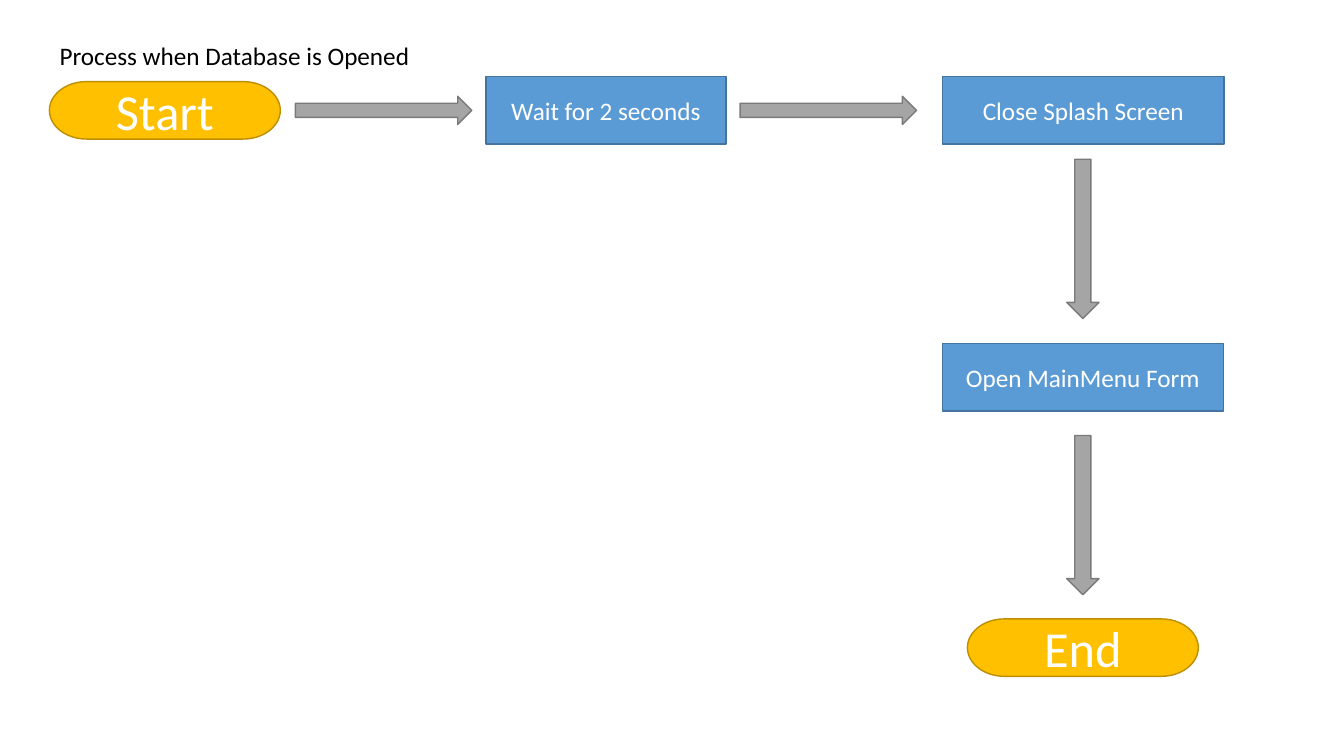
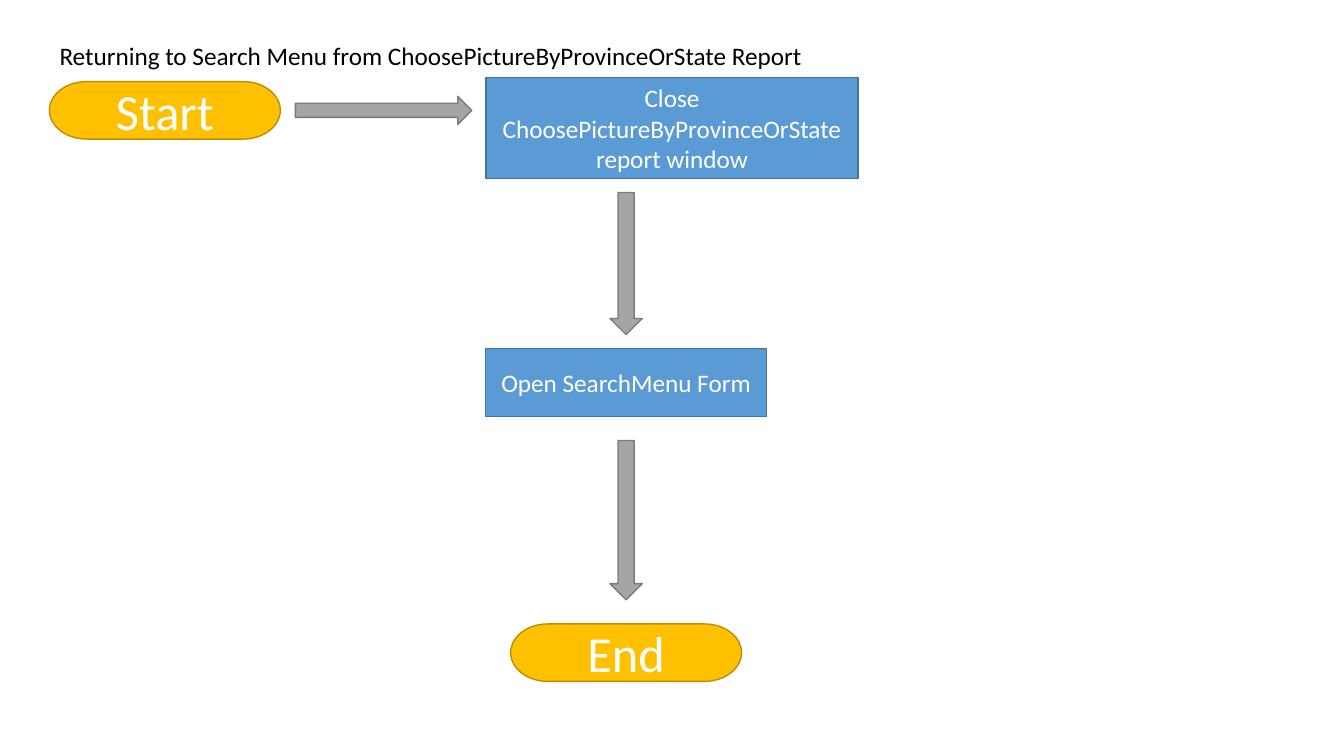
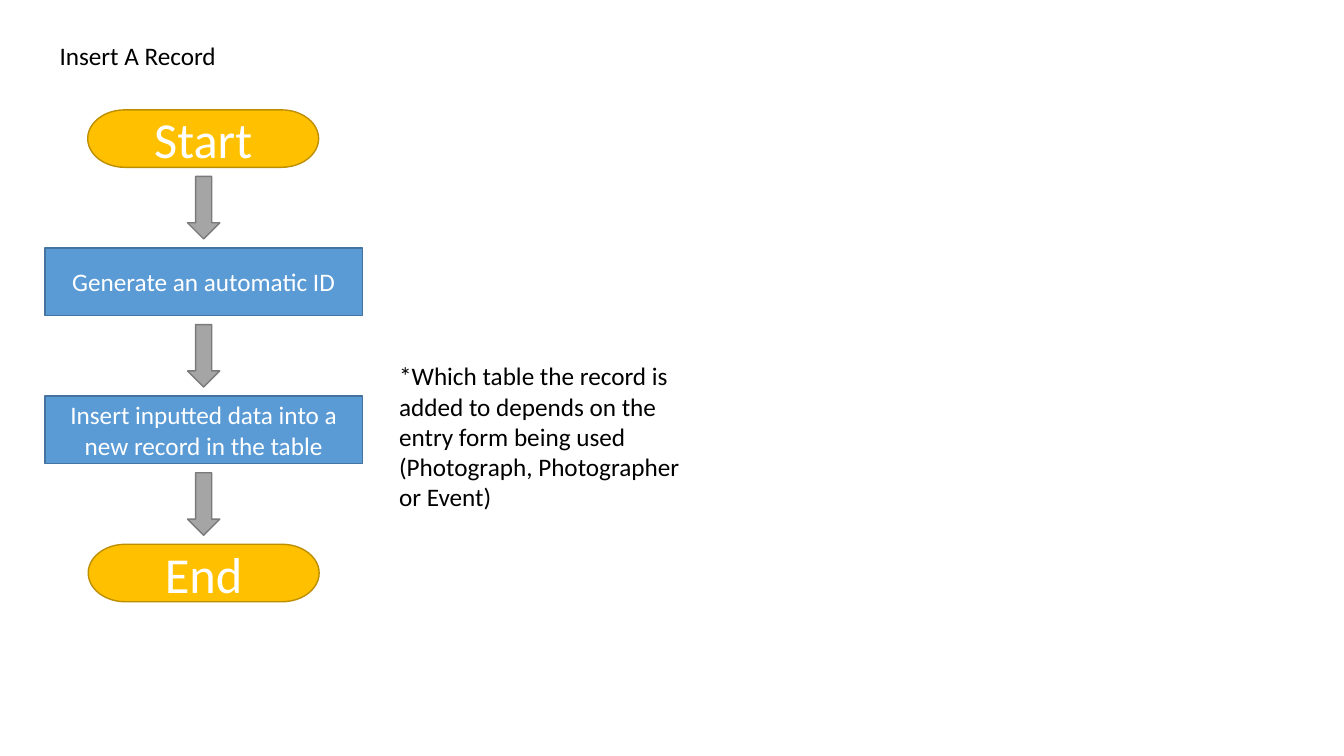
from pptx import Presentation
from pptx.dml.color import RGBColor
from pptx.enum.shapes import MSO_SHAPE as SHAPE
from pptx.enum.text import MSO_ANCHOR as ANCHOR, MSO_AUTO_SIZE as FIT, PP_ALIGN as ALIGN
from pptx.util import Inches, Pt

# Shared look
FONT = "Calibri"
COLORS = {
    "terminal": "FFC000", "terminal_line": "BD8E00",
    "process": "5B9BD5", "process_line": "43739E",
    "arrow": "A5A5A5", "arrow_line": "7A7A7A",
    "light": "FFFFFF", "dark": "000000",
}
KINDS = {"terminal": (SHAPE.FLOWCHART_TERMINATOR, 36), "process": (SHAPE.RECTANGLE, 18)}
TERMINAL_SIZE = (2.29, 0.57)
ARROW_RIGHT, ARROW_DOWN = 0.28, 0.32  # arrow thickness
TITLE_LEFT, TITLE_TOP, TITLE_HEIGHT = 0.49, 0.35, 0.4

# Links between steps: direction, arrow length, gap before, gap after
RIGHT = ("right", 1.75, 0.15, 0.14)
RIGHT_WIDE = ("right", 1.75, 0.14, 0.26)
DOWN_FIRST = ("down", 1.58, 0.15, 0.25)
DOWN_TIGHT = ("down", 1.41, 0.14, 0.14)
DOWN = ("down", 1.58, 0.24, 0.24)
DOWN_SHORT = ("down", 0.62, 0.09, 0.09)

# Content: each step is link into it, kind, text, size and, if off the row, its top
FLOWS = [
    {"title": "Process when Database is Opened", "title_width": 3.71,
     "start": (0.49, 0.81), "axis": 10.74,
     "steps": [
         (None, "terminal", "Start", TERMINAL_SIZE),
         (RIGHT, "process", "Wait for 2 seconds", (2.38, 0.67)),
         (RIGHT_WIDE, "process", "Close Splash Screen", (2.79, 0.67)),
         (DOWN_FIRST, "process", "Open MainMenu Form", (2.79, 0.67)),
         (DOWN, "terminal", "End", TERMINAL_SIZE)]},
    {"title": "Returning to Search Menu from ChoosePictureByProvinceOrState Report",
     "title_width": 7.65, "start": (0.49, 0.81), "axis": 6.21,
     "steps": [
         (None, "terminal", "Start", TERMINAL_SIZE),
         (RIGHT, "process", "Close ChoosePictureByProvinceOrState report window",
          (3.69, 1.0), 0.77),
         (DOWN_TIGHT, "process", "Open SearchMenu Form", (2.79, 0.67)),
         (DOWN, "terminal", "End", TERMINAL_SIZE)]},
    {"title": "Insert A Record", "title_width": 1.77,
     "start": (0.87, 1.09), "axis": 2.02,
     "steps": [
         (None, "terminal", "Start", TERMINAL_SIZE),
         (DOWN_SHORT, "process", "Generate an automatic ID", (3.15, 0.67)),
         (DOWN_SHORT, "process", "Insert inputted data into a new record in the table",
          (3.15, 0.67)),
         (DOWN_SHORT, "terminal", "End", TERMINAL_SIZE)],
     "note": ("*Which table the record is added to depends on the entry form being used "
              "(Photograph, Photographer or Event)", (3.86, 3.53, 3.13, 1.62))},
]


def rgb(name):
    return RGBColor.from_string(COLORS[name])


def put_text(sp, text, size=18, color="dark", align=ALIGN.LEFT, anchor=ANCHOR.TOP, wrap=True):
    tf = sp.text_frame
    tf.word_wrap, tf.auto_size, tf.vertical_anchor = wrap, FIT.NONE, anchor
    p = tf.paragraphs[0]
    p.alignment = align
    r = p.add_run()
    r.text = text
    r.font.name, r.font.size, r.font.color.rgb = FONT, Pt(size), rgb(color)


def add_box(s, shape, color, x, y, w, h):
    sp = s.shapes.add_shape(shape, Inches(x), Inches(y), Inches(w), Inches(h))
    sp.shadow.inherit = False
    sp.fill.solid()
    sp.fill.fore_color.rgb = rgb(color)
    sp.line.color.rgb = rgb(color + "_line")
    sp.line.width = Pt(1)
    return sp


def add_title(s, text, width):
    sp = s.shapes.title
    sp.left, sp.top = Inches(TITLE_LEFT), Inches(TITLE_TOP)
    sp.width, sp.height = Inches(width), Inches(TITLE_HEIGHT)
    put_text(sp, text, wrap=False)


def add_flow(s, start, axis, steps):
    """Place steps one after another, with an arrow along each link."""
    x, y = start
    row = y + TERMINAL_SIZE[1] / 2
    w = h = 0
    for link, kind, text, size, *top in steps:
        if link:
            direction, length, before, after = link
            if direction == "right":
                x += w + before
                add_box(s, SHAPE.RIGHT_ARROW, "arrow",
                        x, row - ARROW_RIGHT / 2, length, ARROW_RIGHT)
                x += length + after
                y = top[0] if top else row - size[1] / 2
            else:
                y += h + before
                add_box(s, SHAPE.DOWN_ARROW, "arrow",
                        axis - ARROW_DOWN / 2, y, ARROW_DOWN, length)
                y += length + after
                x = axis - size[0] / 2
        w, h = size
        shape, points = KINDS[kind]
        put_text(add_box(s, shape, kind, x, y, w, h), text, size=points,
                 color="light", align=ALIGN.CENTER, anchor=ANCHOR.MIDDLE)


def main():
    prs = Presentation()
    prs.slide_width, prs.slide_height = Inches(13.33), Inches(7.5)
    title_only = prs.slide_layouts[5]
    for flow in FLOWS:
        s = prs.slides.add_slide(title_only)
        add_flow(s, flow["start"], flow["axis"], flow["steps"])
        add_title(s, flow["title"], flow["title_width"])
        if "note" in flow:
            text, place = flow["note"]
            put_text(s.shapes.add_textbox(*map(Inches, place)), text)
    prs.save("out.pptx")


if __name__ == "__main__":
    main()
